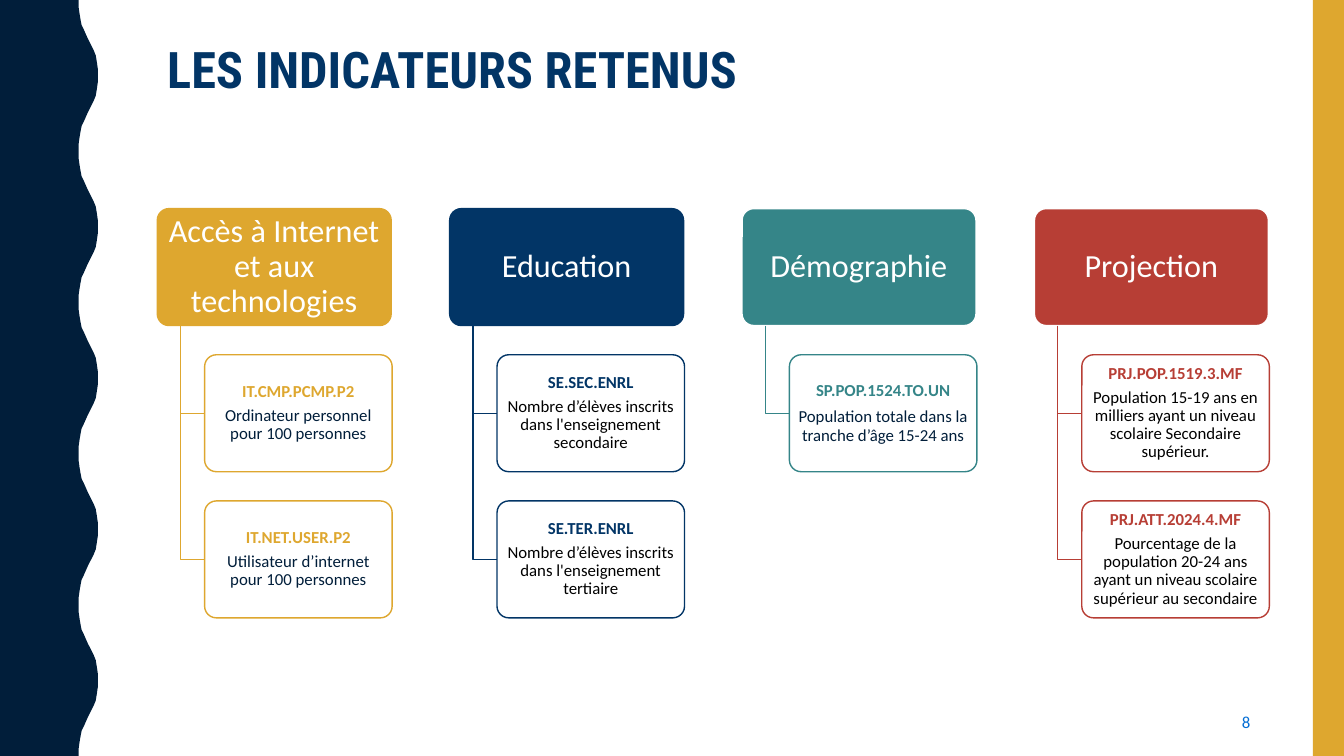
from lxml import etree
from pptx import Presentation
from pptx.dml.color import RGBColor
from pptx.enum.shapes import MSO_SHAPE
from pptx.enum.text import MSO_ANCHOR, PP_ALIGN
from pptx.oxml.ns import qn
from pptx.util import Inches, Pt

RECT, ROUND = MSO_SHAPE.RECTANGLE, MSO_SHAPE.ROUNDED_RECTANGLE
LEFT, CENTER, RIGHT = PP_ALIGN.LEFT, PP_ALIGN.CENTER, PP_ALIGN.RIGHT
TOP, MIDDLE = MSO_ANCHOR.TOP, MSO_ANCHOR.MIDDLE

THEME = {
    "navy": "011E3A", "blue": "023566", "gold": "DEA72F", "teal": "358588",
    "red": "B73E35", "white": "FFFFFF", "black": "000000", "link": "046ED5",
    "head": "Roboto Condensed", "body": "Calibri",
    "title": 36, "group": 23, "text": 12, "line": 1,
}

TITLE = "LES INDICATEURS RETENUS"
PAGE = "8"
GROUPS = [
    {"name": "Accès à Internet et aux technologies", "color": "gold",
     "edge": "gold", "ink": "navy", "gap": 4.2, "cards": [
         ("IT.CMP.PCMP.P2", "Ordinateur personnel pour 100 personnes"),
         ("IT.NET.USER.P2", "Utilisateur d’internet pour 100 personnes")]},
    {"name": "Education", "color": "blue",
     "edge": "blue", "ink": "black", "gap": 4.2, "cards": [
         ("SE.SEC.ENRL", "Nombre d’élèves inscrits dans l'enseignement secondaire"),
         ("SE.TER.ENRL", "Nombre d’élèves inscrits dans l'enseignement tertiaire")]},
    {"name": "Démographie", "color": "teal",
     "edge": "white", "ink": "navy", "gap": 6, "cards": [
         ("SP.POP.1524.TO.UN", "Population totale dans la tranche d’âge 15-24 ans")]},
    {"name": "Projection", "color": "red",
     "edge": "white", "ink": "black", "gap": 4.2, "cards": [
         ("PRJ.POP.1519.3.MF",
          "Population 15-19 ans en milliers ayant un niveau scolaire Secondaire supérieur."),
         ("PRJ.ATT.2024.4.MF",
          "Pourcentage de la population 20-24 ans ayant un niveau scolaire supérieur au secondaire")]},
]

WIDE, HIGH = 13.33, 7.5
COL_X, COL_STEP, HEAD_W = 1.56, 2.9, 2.32
HEAD_Y, BOX_H, ROW_STEP = 2.07, 1.16, 1.45
STEM, CARD_DX, CARD_W = 0.23, 0.47, 1.86
WAVE_STEP, WAVES = 1.5, 5
CURVE = [(0.78, 0), (0.78, 0.07), (0.79, 0.14), (0.8, 0.2), (0.81, 0.25),
         (0.83, 0.29), (0.87, 0.38), (0.91, 0.46), (0.93, 0.5),
         (0.95, 0.55), (0.96, 0.61), (0.97, 0.68), (0.97, 0.75)]


def tint(name):
    return RGBColor.from_string(THEME[name])


def paint(shape, fill=None, edge=None):
    shape.shadow.inherit = False
    if fill:
        shape.fill.solid()
        shape.fill.fore_color.rgb = tint(fill)
    else:
        shape.fill.background()
    if edge:
        shape.line.color.rgb = tint(edge)
        shape.line.width = Pt(THEME["line"])
    else:
        shape.line.fill.background()


def block(slide, kind, box, fill, edge=None):
    shape = slide.shapes.add_shape(kind, *map(Inches, box))
    paint(shape, fill, edge)
    if kind == ROUND:
        shape.adjustments[0] = 0.1
    return shape


def trace(slide, points, closed, **look):
    first, *rest = [(Inches(x), Inches(y)) for x, y in points]
    pen = slide.shapes.build_freeform(*first, scale=1.0)
    pen.add_line_segments(rest, close=closed)
    paint(pen.convert_to_shape(), **look)


def write(shape, lines, align=CENTER, anchor=MIDDLE, inset=(0.1, 0.05), para=None):
    side, edge = map(Inches, inset)
    frame = shape.text_frame
    layout = {"word_wrap": True, "vertical_anchor": anchor, "margin_left": side,
              "margin_right": side, "margin_top": edge, "margin_bottom": edge}
    for key, value in layout.items():
        setattr(frame, key, value)
    for i, (text, size, color, bold, face) in enumerate(lines):
        par = frame.paragraphs[0] if i == 0 else frame.add_paragraph()
        for key, value in {"alignment": align, **(para or {})}.items():
            setattr(par, key, value)
        run = par.add_run()
        run.text = text
        font = {"size": Pt(THEME[size]), "bold": bold, "name": THEME[face]}
        for key, value in font.items():
            setattr(run.font, key, value)
        run.font.color.rgb = tint(color)


def label(slide, box, line, **look):
    write(slide.shapes.add_textbox(*map(Inches, box)), [line], **look)


def frame_slide(slide):
    wave = CURVE + [(x, WAVE_STEP - y) for x, y in CURVE[-2::-1]]
    edge = [(x, y + n * WAVE_STEP) for n in range(WAVES) for x, y in wave]
    trace(slide, [(0, 0), *edge, (0, HIGH)], True, fill="navy")
    block(slide, RECT, (13.02, 0, 0.31, HIGH), "gold")


def draw_group(slide, group, x):
    color = group["color"]
    para = {"line_spacing": 0.9, "space_after": Pt(group["gap"])}
    head = block(slide, ROUND, (x, HEAD_Y, HEAD_W, BOX_H), color, group["edge"])
    write(head, [(group["name"], "group", "white", False, "body")],
          inset=(0.05, 0.03), para=para)
    for row, (code, note) in enumerate(group["cards"], 1):
        y = HEAD_Y + row * ROW_STEP
        mid = y + BOX_H / 2
        stem = x + STEM
        trace(slide, [(stem, HEAD_Y + BOX_H), (stem, mid), (x + CARD_DX, mid)],
              False, edge=color)
        card = block(slide, ROUND, (x + CARD_DX, y, CARD_W, BOX_H), "white", color)
        shade = card._element.spPr.find(qn("a:solidFill"))[0]
        etree.SubElement(shade, qn("a:alpha"), val="90000")
        write(card, [(code, "text", color, True, "body"),
                     (note, "text", group["ink"], False, "body")],
              inset=(0.03, 0.02), para=para)


def main():
    deck = Presentation()
    deck.slide_width, deck.slide_height = Inches(WIDE), Inches(HIGH)
    slide = deck.slides.add_slide(deck.slide_layouts[6])
    frame_slide(slide)
    label(slide, (1.56, 0.33, 10.06, 0.71),
          (TITLE, "title", "blue", True, "head"), align=LEFT, anchor=TOP)
    for col, group in enumerate(GROUPS):
        draw_group(slide, group, COL_X + col * COL_STEP)
    label(slide, (9.42, 6.97, 3.08, 0.38),
          (PAGE, "text", "link", False, "body"), align=RIGHT)
    deck.save("out.pptx")


if __name__ == "__main__":
    main()
